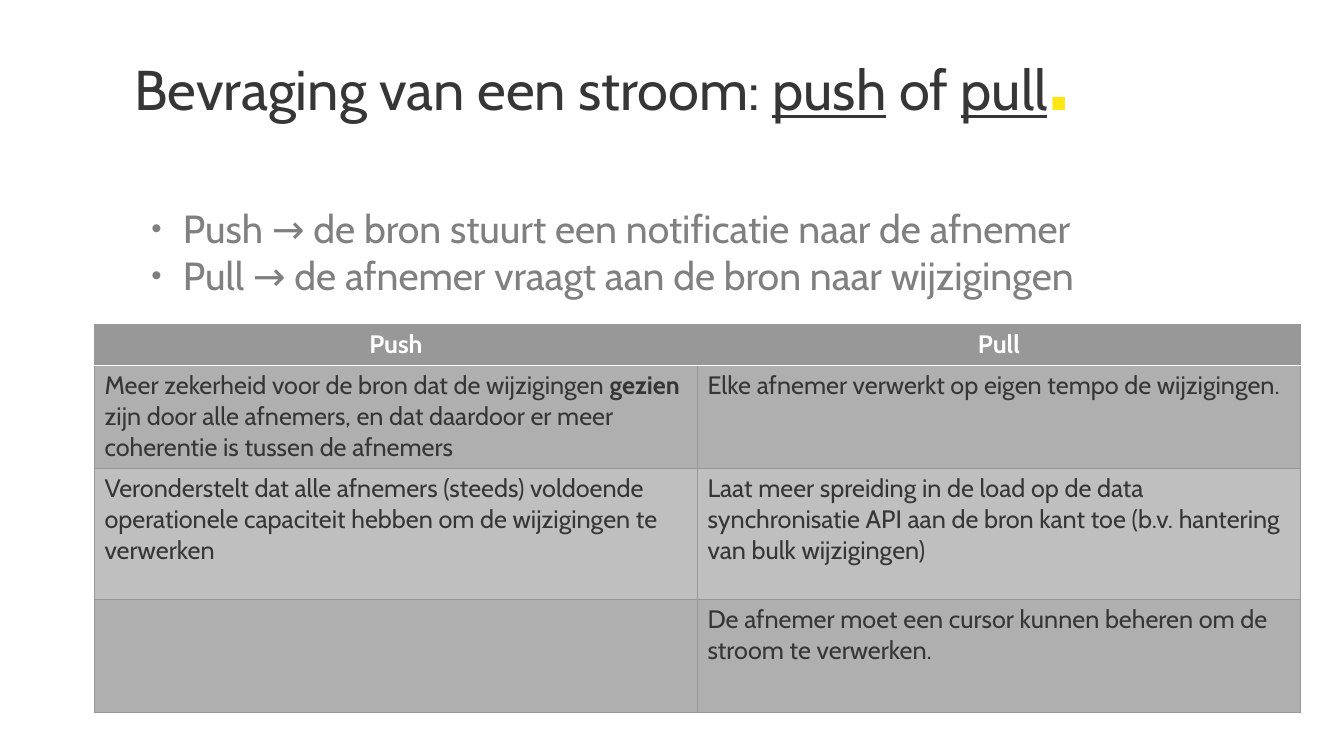
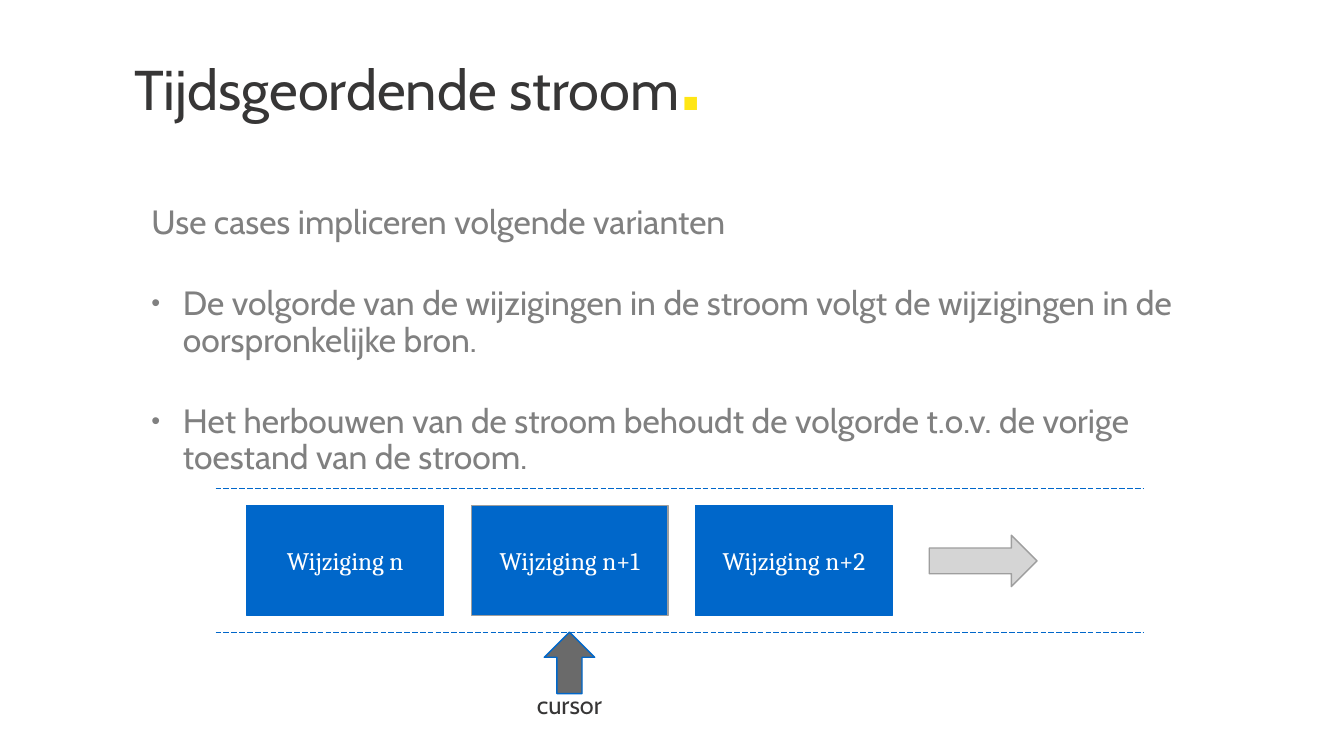
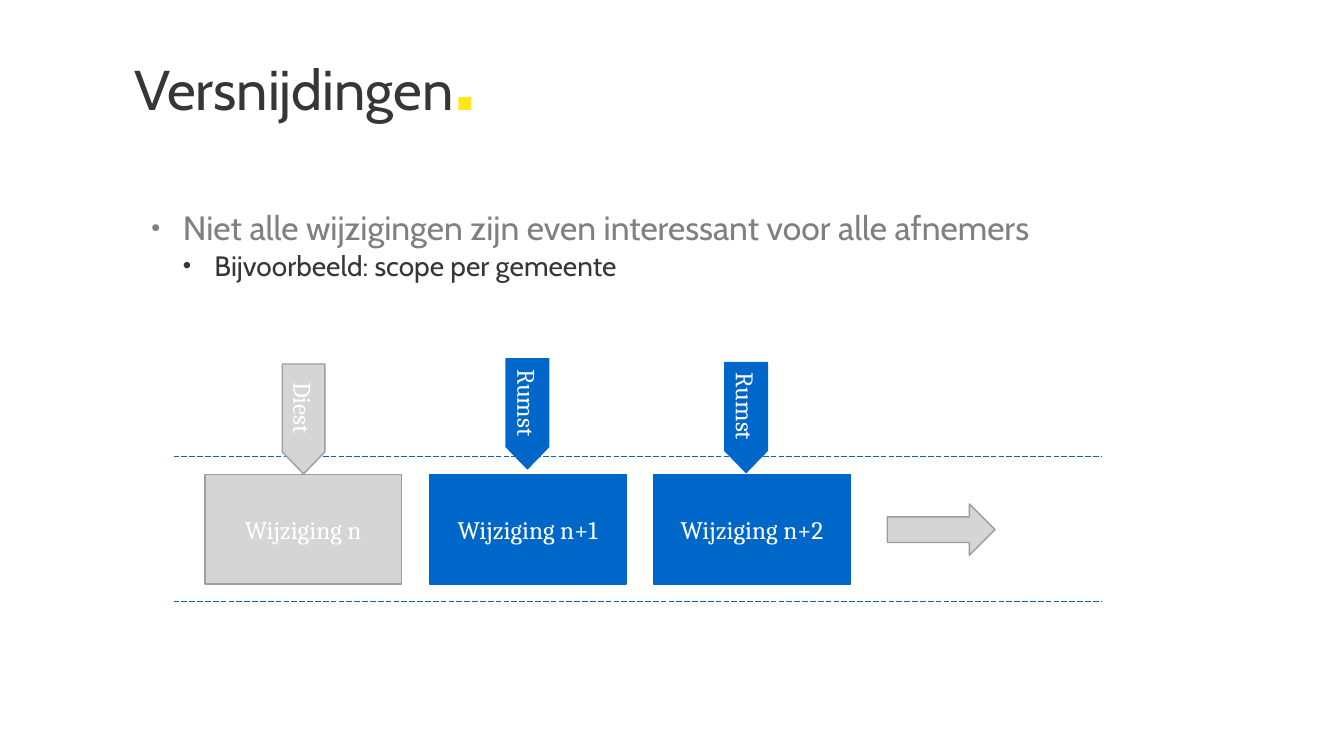
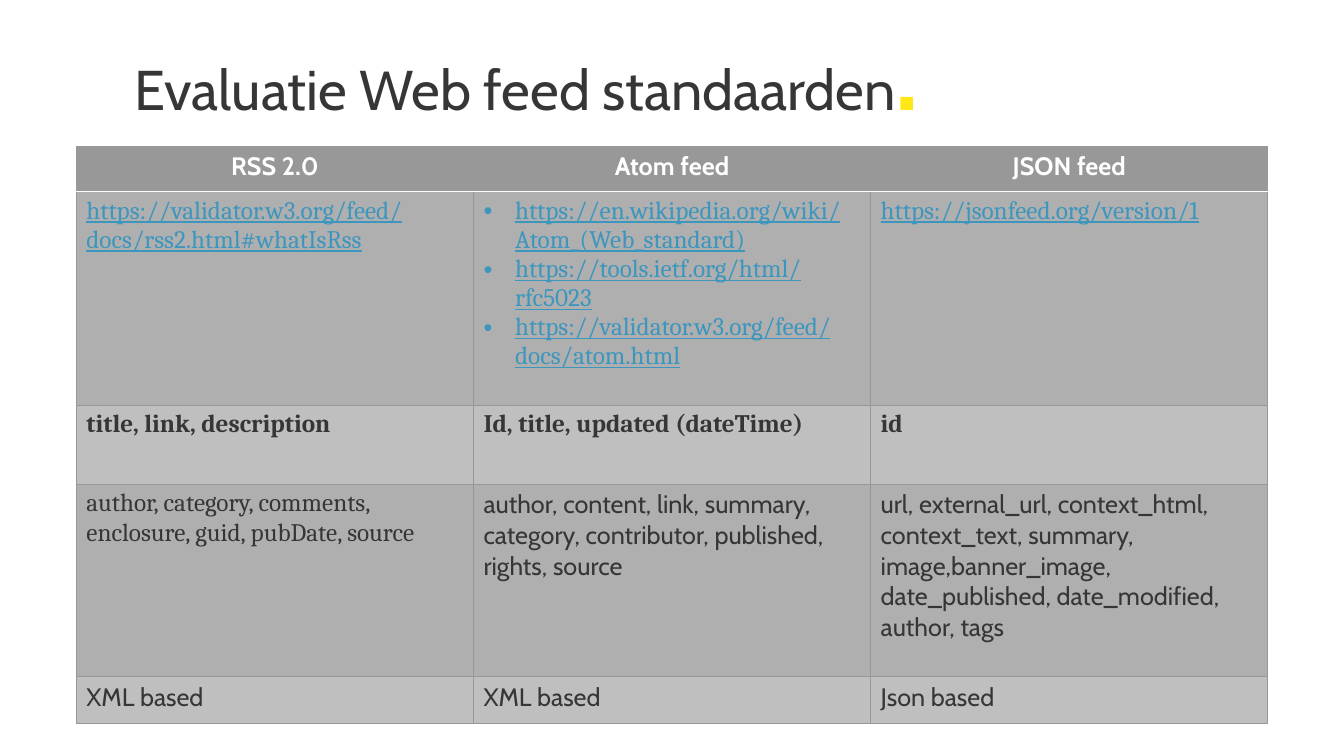
from lxml.etree import SubElement
from pptx import Presentation
from pptx.dml.color import RGBColor
from pptx.enum.dml import MSO_LINE
from pptx.enum.shapes import MSO_CONNECTOR, MSO_SHAPE
from pptx.enum.text import MSO_ANCHOR, PP_ALIGN
from pptx.oxml.ns import qn
from pptx.util import Pt

INK, MUTED, YELLOW, WHITE = "373636", "808080", "FFE615", "FFFFFF"
BLUE, LINK = "0067CA", "3C96BE"
SILVER, SILVER_EDGE, CURSOR_GREY = "D5D5D5", "9E9E9E", "6A6A6A"
HEADER, BANDS = "989898", ("AFAFAF", "BFBFBF")
SANS, SERIF = "Cabin", "Cambria"
BULLET_STEP = 22.5

UNDERLINED = {"underline": True}
BOLD = {"bold": True}
SERIF_TEXT = {"font": SERIF}
SERIF_BOLD = {"font": SERIF, "bold": True}
SERIF_LINK = {"font": SERIF, "color": LINK, "underline": True}

PUSH_PULL = {
    "title": [("Bevraging van een stroom: ", {}), ("push", UNDERLINED), (" of ", {}), ("pull", UNDERLINED)],
    "body_top": 150,
    "body": [
        {"text": "Push → de bron stuurt een notificatie naar de afnemer", "size": 28},
        {"text": "Pull → de afnemer vraagt aan de bron naar wijzigingen", "size": 28, "before": 3},
    ],
    "table": {
        "left": 67.5, "top": 231.5, "column": 430.7, "heights": [29.5, 73.5, 93.5, 81],
        "header": ["Push", "Pull"],
        "rows": [
            [[[("Meer zekerheid voor de bron dat de wijzigingen ", {}), ("gezien", BOLD),
               (" zijn door alle afnemers, en dat daardoor er meer coherentie is tussen de afnemers", {})]],
             [[("Elke afnemer verwerkt op eigen tempo de wijzigingen.", {})]]],
            [[[("Veronderstelt dat alle afnemers (steeds) voldoende operationele capaciteit hebben "
                "om de wijzigingen te verwerken", {})]],
             [[("Laat meer spreiding in de load op de data synchronisatie API aan de bron kant toe "
                "(b.v. hantering van bulk wijzigingen)", {})]]],
            [[],
             [[("De afnemer moet een cursor kunnen beheren om de stroom te verwerken.", {})]]],
        ],
    },
}

ORDERED_STREAM = {
    "title": [("Tijdsgeordende stroom", {})],
    "body_top": 147,
    "body": [
        {"text": "Use cases impliceren volgende varianten", "size": 24, "bullet": None},
        {"text": "De volgorde van de wijzigingen in de stroom volgt de wijzigingen in de "
                 "oorspronkelijke bron.", "size": 24, "before": 32},
        {"text": "Het herbouwen van de stroom behoudt de volgorde t.o.v. de vorige toestand "
                 "van de stroom.", "size": 24, "before": 32},
    ],
    "stream": {
        "left": 154, "top": 348.5,
        "changes": [("Wijziging n", BLUE, BLUE), ("Wijziging n+1", BLUE, SILVER_EDGE),
                    ("Wijziging n+2", BLUE, BLUE)],
    },
    "cursor": "cursor",
}

SCOPES = {
    "title": [("Versnijdingen", {})],
    "body_top": 151,
    "body": [
        {"text": "Niet alle wijzigingen zijn even interessant voor alle afnemers", "size": 24},
        {"text": "Bijvoorbeeld: scope per gemeente", "size": 20, "before": 3, "level": 2,
         "color": INK, "bullet": 85},
    ],
    "stream": {
        "left": 124, "top": 326.2,
        "changes": [("Wijziging n", SILVER, SILVER_EDGE), ("Wijziging n+1", BLUE, BLUE),
                    ("Wijziging n+2", BLUE, BLUE)],
    },
    "scopes": [("Diest", 201.6, 260, SILVER, SILVER_EDGE), ("Rumst", 361.5, 256.3, BLUE, BLUE),
               ("Rumst", 517.7, 259, BLUE, BLUE)],
}

FEEDS = {
    "title": [("Evaluatie Web feed standaarden", {})],
    "table": {
        "left": 54.5, "top": 104.5, "column": 283.7, "heights": [32.4, 152.3, 56.7, 137.5, 33],
        "header": ["RSS 2.0", "Atom feed", "JSON feed"],
        "rows": [
            [[[("https://validator.w3.org/feed/docs/rss2.html#whatIsRss", SERIF_LINK)]],
             [[("https://en.wikipedia.org/wiki/Atom_(Web_standard)", SERIF_LINK)],
              [("https://tools.ietf.org/html/rfc5023", SERIF_LINK)],
              [("https://validator.w3.org/feed/docs/atom.html", SERIF_LINK)]],
             [[("https://jsonfeed.org/version/1", SERIF_LINK)]]],
            [[[(fields, SERIF_BOLD)]]
             for fields in ("title, link, description", "Id, title, updated (dateTime)", "id")],
            [[[("author, category, comments, enclosure, guid, pubDate, source", SERIF_TEXT)]],
             [[("author, content, link, summary, category, contributor, published, rights, source", {})]],
             [[("url, external_url, context_html, context_text, summary, image,banner_image, "
                "date_published, date_modified, author, tags", {})]]],
            [[[(basis, {})]] for basis in ("XML based", "XML based", "Json based")],
        ],
    },
}


def rgb(color):
    return RGBColor.from_string(color)


def add_run(paragraph, text, size=18, font=SANS, color=INK, bold=False, underline=False):
    run = paragraph.add_run()
    run.text = text
    run.font.size = Pt(size)
    run.font.name = font
    run.font.color.rgb = rgb(color)
    run.font.bold = bold
    run.font.underline = underline


def indent(paragraph, margin, bullet=None):
    properties = paragraph._p.get_or_add_pPr()
    properties.set("marL", str(Pt(margin)))
    properties.set("indent", str(Pt(-BULLET_STEP if bullet else 0)))
    if bullet:
        SubElement(properties, qn("a:buSzPct"), val=str(bullet * 1000))
        SubElement(properties, qn("a:buFont"), typeface="Arial")
        SubElement(properties, qn("a:buChar"), char="•")
    else:
        SubElement(properties, qn("a:buNone"))


def add_text_frame(slide, left, top, width, height):
    frame = slide.shapes.add_textbox(Pt(left), Pt(top), Pt(width), Pt(height)).text_frame
    frame.word_wrap = True
    frame.margin_left = frame.margin_right = frame.margin_top = frame.margin_bottom = 0
    return frame


def add_title(slide, runs):
    paragraph = add_text_frame(slide, 96, 55.5, 778, 88).paragraphs[0]
    paragraph.line_spacing = Pt(38)
    for text, style in runs:
        add_run(paragraph, text, size=40, **style)
    add_run(paragraph, ".", size=72, color=YELLOW, bold=True)


def add_body(slide, top, items):
    frame = add_text_frame(slide, 85.7, top, 802, 200)
    for index, item in enumerate(items):
        paragraph = frame.add_paragraph() if index else frame.paragraphs[0]
        bullet = item.get("bullet", 75)
        steps = item.get("level", 1) + (1 if bullet else 0)
        paragraph.line_spacing = 0.9
        paragraph.space_before = Pt(item.get("before", 0))
        indent(paragraph, steps * BULLET_STEP, bullet)
        add_run(paragraph, item["text"], size=item["size"], color=item.get("color", MUTED))


def add_border(cell, side, color, width):
    border = SubElement(cell._tc.get_or_add_tcPr(), qn("a:" + side), w=str(Pt(width)))
    fill = SubElement(border, qn("a:solidFill"))
    SubElement(fill, qn("a:srgbClr"), val=color)


def fill_cell(cell, paragraphs, row):
    for side in ("lnL", "lnR", "lnT", "lnB"):
        under_header = (row, side) in ((0, "lnB"), (1, "lnT"))
        add_border(cell, side, *((WHITE, 1) if under_header else (HEADER, 0.5)))
    cell.fill.solid()
    cell.fill.fore_color.rgb = rgb(BANDS[(row - 1) % 2] if row else HEADER)
    for index, runs in enumerate(paragraphs):
        paragraph = cell.text_frame.add_paragraph() if index else cell.text_frame.paragraphs[0]
        if row == 0:
            paragraph.alignment = PP_ALIGN.CENTER
        if len(paragraphs) > 1:
            indent(paragraph, BULLET_STEP, 100)
        for text, style in runs:
            add_run(paragraph, text, **style)


def add_comparison(slide, left, top, column, heights, header, rows):
    header_row = [[[(name, {"color": WHITE, "bold": True})]] for name in header]
    table = slide.shapes.add_table(len(heights), len(header), Pt(left), Pt(top),
                                   Pt(column * len(header)), Pt(sum(heights))).table
    for table_column in table.columns:
        table_column.width = Pt(column)
    for row, (height, contents) in enumerate(zip(heights, [header_row] + rows)):
        table.rows[row].height = Pt(height)
        for position, paragraphs in enumerate(contents):
            fill_cell(table.cell(row, position), paragraphs, row)


def add_figure(slide, preset, left, top, width, height, fill, edge, label=None):
    figure = slide.shapes.add_shape(preset, Pt(left), Pt(top), Pt(width), Pt(height))
    figure.shadow.inherit = False
    figure.fill.solid()
    figure.fill.fore_color.rgb = rgb(fill)
    figure.line.color.rgb = rgb(edge)
    figure.line.width = Pt(1)
    if label:
        figure.text_frame.vertical_anchor = MSO_ANCHOR.MIDDLE
        paragraph = figure.text_frame.paragraphs[0]
        paragraph.alignment = PP_ALIGN.CENTER
        add_run(paragraph, label, font=SERIF, color=WHITE)
    return figure


def add_stream(slide, left, top, changes):
    for index, (label, fill, edge) in enumerate(changes):
        add_figure(slide, MSO_SHAPE.RECTANGLE, left + 22.3 + index * 160.3, top + 12.5,
                   140.5, 78.5, fill, edge, label)
    add_figure(slide, MSO_SHAPE.RIGHT_ARROW, left + 509.8, top + 33.8, 77, 36.7, SILVER, SILVER_EDGE)
    for bank in (top, top + 103.3):
        line = slide.shapes.add_connector(MSO_CONNECTOR.STRAIGHT, Pt(left), Pt(bank),
                                          Pt(left + 662.4), Pt(bank))
        line.line.color.rgb = rgb(BLUE)
        line.line.width = Pt(0.5)
        line.line.dash_style = MSO_LINE.LONG_DASH
        SubElement(line._element.spPr, qn("a:effectLst"))


def add_cursor(slide, label):
    add_figure(slide, MSO_SHAPE.UP_ARROW, 388.8, 451.5, 36, 44, CURSOR_GREY, BLUE)
    paragraph = add_text_frame(slide, 376.5, 492.5, 60.5, 22).paragraphs[0]
    paragraph.alignment = PP_ALIGN.CENTER
    add_run(paragraph, label)


def add_scopes(slide, scopes):
    for label, left, top, fill, edge in scopes:
        marker = add_figure(slide, MSO_SHAPE.FLOWCHART_OFFPAGE_CONNECTOR, left, top, 30.5, 78.5,
                            fill, edge, label)
        marker.text_frame._txBody.bodyPr.set("vert", "vert")


def main():
    deck = Presentation()
    deck.slide_width, deck.slide_height = Pt(960), Pt(540)
    for content in (PUSH_PULL, ORDERED_STREAM, SCOPES, FEEDS):
        slide = deck.slides.add_slide(deck.slide_layouts[6])
        add_title(slide, content["title"])
        if "body" in content:
            add_body(slide, content["body_top"], content["body"])
        if "table" in content:
            add_comparison(slide, **content["table"])
        if "stream" in content:
            add_stream(slide, **content["stream"])
        if "cursor" in content:
            add_cursor(slide, content["cursor"])
        if "scopes" in content:
            add_scopes(slide, content["scopes"])
    deck.save("out.pptx")


if __name__ == "__main__":
    main()
